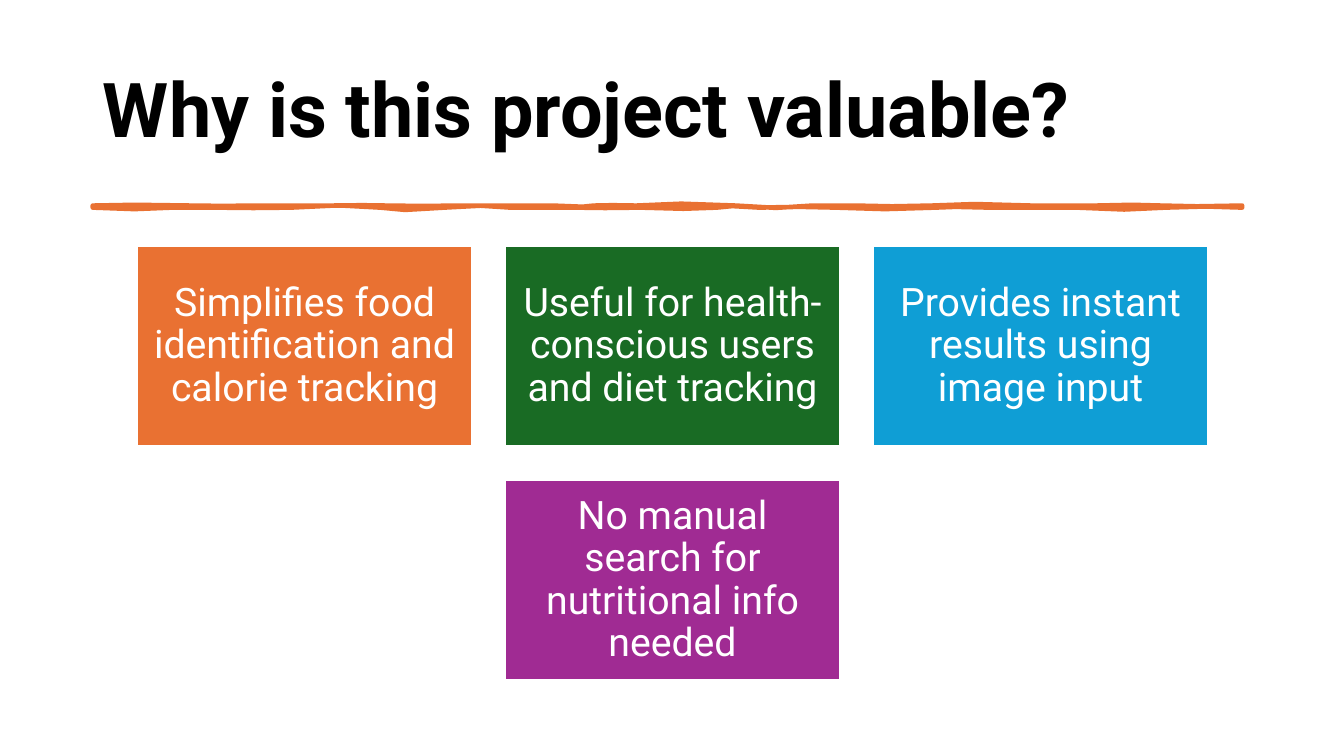
from dataclasses import dataclass

from pptx import Presentation as Deck
from pptx.dml.color import RGBColor as Color
from pptx.enum.shapes import MSO_SHAPE as Kind
from pptx.enum.text import MSO_ANCHOR as Anchor, MSO_AUTO_SIZE as Fit, PP_ALIGN as Align
from pptx.util import Inches, Pt


@dataclass(frozen=True)
class Theme:
    font: str = "Roboto"
    black: str = "000000"
    white: str = "FFFFFF"
    orange: str = "E97132"
    green: str = "196B24"
    blue: str = "0F9ED5"
    purple: str = "A02B93"
    head: float = 54
    body: float = 28
    edge: float = 1.5
    brush: float = 3.25


def write(frame, text, *, font, size, color, bold=False, align=Align.LEFT, inset=0.1):
    frame.word_wrap = True
    frame.auto_size = Fit.NONE
    frame.vertical_anchor = Anchor.MIDDLE
    frame.margin_left = frame.margin_right = Inches(inset)
    frame.margin_top = frame.margin_bottom = Inches(inset)
    para = frame.paragraphs[0]
    para.alignment = align
    para.line_spacing = 0.9
    run = para.add_run()
    run.text = text
    run.font.name = font
    run.font.size = Pt(size)
    run.font.bold = bold
    run.font.color.rgb = Color.from_string(color)


def trace(start, curves):
    points = [start]
    for x1, y1, x2, y2, x3, y3 in curves:
        x0, y0 = points[-1]
        points.append(((x0 + 3 * x1 + 3 * x2 + x3) / 8, (y0 + 3 * y1 + 3 * y2 + y3) / 8))
        points.append((x3, y3))
    return points


class Page:
    def __init__(self, deck, theme):
        self.theme = theme
        self.slide = deck.slides.add_slide(deck.slide_layouts[5])

    def paint(self, shape, fill, line, width):
        shape.shadow.inherit = False
        shape.fill.solid()
        shape.fill.fore_color.rgb = Color.from_string(fill)
        shape.line.color.rgb = Color.from_string(line)
        shape.line.width = Pt(width)

    def title(self, text, left, top, width, height):
        head = self.slide.shapes.title
        head.left, head.top = Inches(left), Inches(top)
        head.width, head.height = Inches(width), Inches(height)
        write(head.text_frame, text, font=self.theme.font, size=self.theme.head,
              color=self.theme.black, bold=True)

    def stroke(self, points):
        spots = [(Inches(x), Inches(y)) for x, y in points]
        pen = self.slide.shapes.build_freeform(*spots[0])
        pen.add_line_segments(spots[1:], close=True)
        color = self.theme.orange
        self.paint(pen.convert_to_shape(), color, color, self.theme.brush)

    def card(self, text, fill, left, top, width, height):
        box = self.slide.shapes.add_shape(
            Kind.RECTANGLE, Inches(left), Inches(top), Inches(width), Inches(height))
        self.paint(box, fill, self.theme.white, self.theme.edge)
        write(box.text_frame, text, font=self.theme.font, size=self.theme.body,
              color=self.theme.white, align=Align.CENTER, inset=0.12)


WAVE = [
    (1.19, 2.04, 1.44, 2.02, 1.9, 2.04),
    (2.37, 2.06, 2.2, 2.03, 2.44, 2.04),
    (2.67, 2.05, 3.03, 2.03, 3.31, 2.04),
    (3.6, 2.05, 3.59, 2.02, 3.84, 2.04),
    (4.1, 2.06, 4.23, 2.03, 4.6, 2.04),
    (4.98, 2.05, 5.14, 2.03, 5.48, 2.04),
    (5.81, 2.05, 5.81, 2.06, 5.89, 2.04),
    (5.98, 2.02, 6.15, 2.05, 6.31, 2.04),
    (6.47, 2.03, 7.01, 2, 7.3, 2.04),
    (7.59, 2.08, 7.81, 2.06, 8.06, 2.04),
    (8.31, 2.02, 8.27, 2.06, 8.48, 2.04),
    (8.68, 2.02, 9.01, 2.08, 9.24, 2.04),
    (9.47, 2, 9.82, 2.04, 10.23, 2.04),
    (10.63, 2.04, 10.63, 2.04, 10.87, 2.04),
    (11.12, 2.04, 11.36, 2.02, 11.52, 2.04),
    (11.68, 2.06, 12.03, 2.04, 12.32, 2.04),
    (12.32, 2.05, 12.32, 2.05, 12.32, 2.06),
    (12.05, 2.06, 11.89, 2.03, 11.56, 2.06),
    (11.22, 2.09, 11.1, 2.08, 10.68, 2.06),
    (10.27, 2.04, 10.23, 2.08, 9.81, 2.06),
    (9.39, 2.04, 9.52, 2.06, 9.28, 2.06),
    (9.04, 2.06, 8.51, 2.1, 8.29, 2.06),
    (8.06, 2.02, 7.82, 2.08, 7.53, 2.06),
    (7.24, 2.04, 7.25, 2.04, 7.11, 2.06),
    (6.98, 2.08, 6.61, 2.07, 6.35, 2.06),
    (6.09, 2.05, 5.9, 2.08, 5.7, 2.06),
    (5.51, 2.04, 5.28, 2.08, 5.06, 2.06),
    (4.83, 2.04, 4.73, 2.03, 4.41, 2.06),
    (4.09, 2.09, 3.9, 2.09, 3.77, 2.06),
    (3.63, 2.03, 3.1, 2.03, 2.89, 2.06),
    (2.68, 2.09, 2.35, 2.04, 2.13, 2.06),
    (1.92, 2.08, 1.89, 2.04, 1.71, 2.06),
    (1.54, 2.08, 1.14, 2.08, 0.92, 2.06),
]


def main():
    deck = Deck()
    deck.slide_width, deck.slide_height = Inches(13.33), Inches(7.5)
    theme = Theme()
    page = Page(deck, theme)
    page.title("Why is this project valuable?", 0.92, 0.4, 11.5, 1.45)
    page.stroke(trace((0.92, 2.04), WAVE))

    left, top, width, height, gap = 1.36, 2.44, 3.32, 1.99, 0.33
    cards = [
        ("Simplifies food identification and calorie tracking", theme.orange, 0, 0),
        ("Useful for health-conscious users and diet tracking", theme.green, 1, 0),
        ("Provides instant results using image input", theme.blue, 2, 0),
        ("No manual search for nutritional info needed", theme.purple, 1, 1),
    ]
    for text, fill, col, row in cards:
        page.card(text, fill, left + col * (width + gap), top + row * (height + gap),
                  width, height)
    deck.save("out.pptx")


if __name__ == "__main__":
    main()
